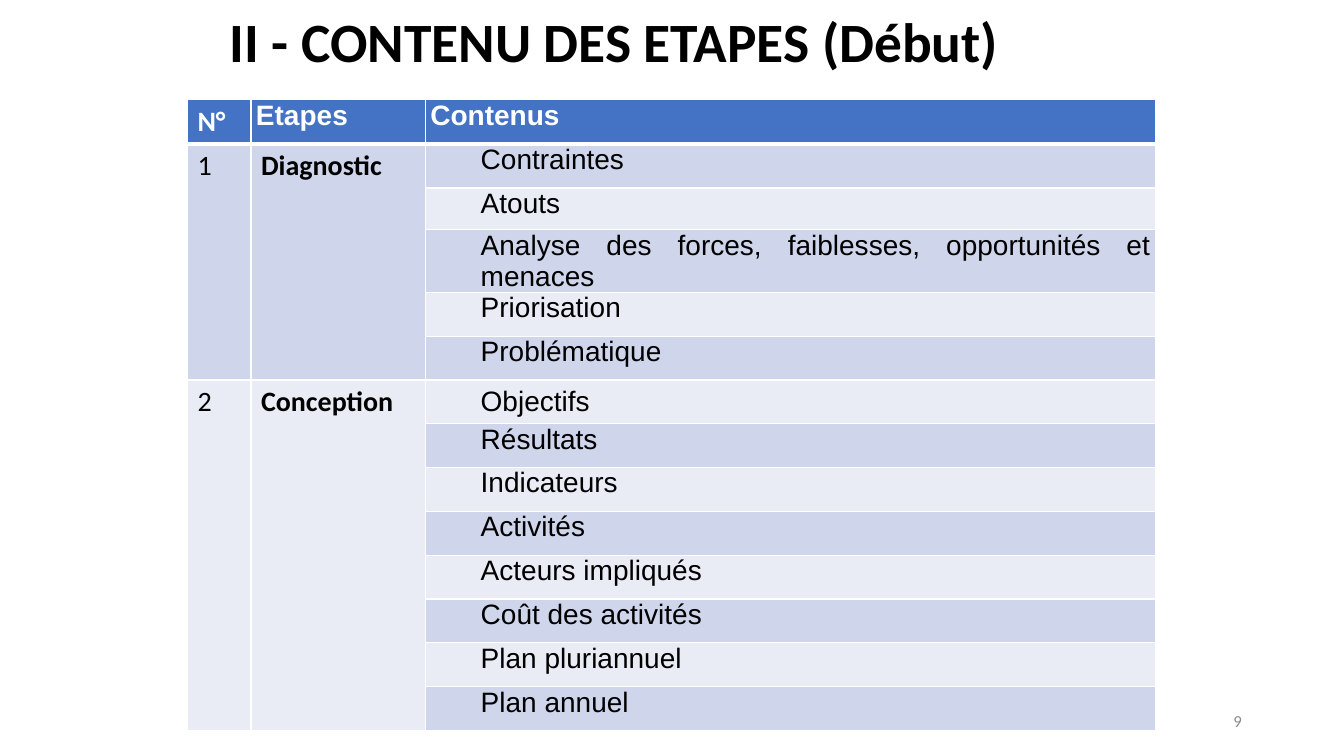
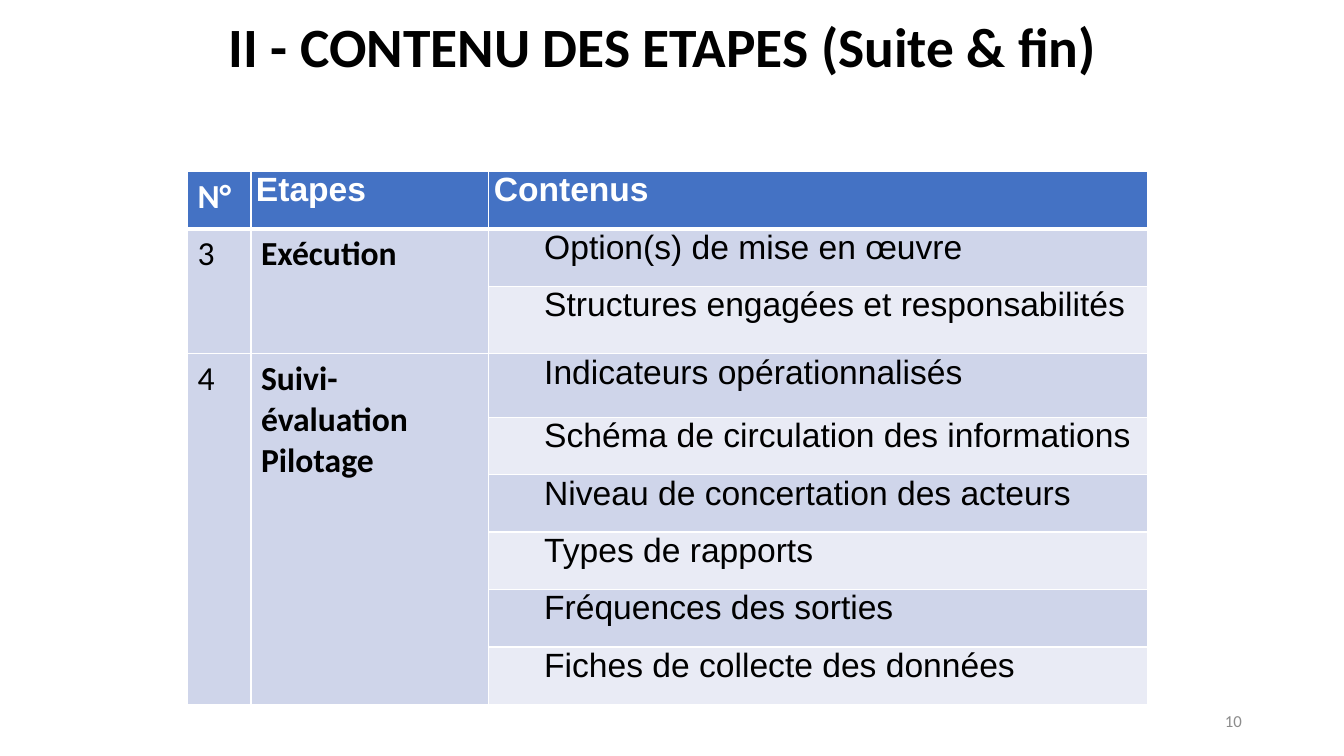
from dataclasses import dataclass
from typing import Any

from lxml import etree
from pptx import Presentation
from pptx.dml.color import RGBColor
from pptx.enum.text import MSO_ANCHOR, MSO_AUTO_SIZE, PP_ALIGN
from pptx.oxml.ns import qn
from pptx.util import Pt

PX = 4572  # 200 px to the inch
LEFT, RIGHT, JUSTIFY = PP_ALIGN.LEFT, PP_ALIGN.RIGHT, PP_ALIGN.JUSTIFY
TOP, MIDDLE = MSO_ANCHOR.TOP, MSO_ANCHOR.MIDDLE
NO_AUTOFIT = MSO_AUTO_SIZE.NONE

BLACK = RGBColor(0x00, 0x00, 0x00)
WHITE = RGBColor(0xFF, 0xFF, 0xFF)
GREY = RGBColor(0x8C, 0x8C, 0x8C)
HEADER_BLUE = RGBColor(0x44, 0x72, 0xC4)
BANDS = (RGBColor(0xE9, 0xEB, 0xF5), RGBColor(0xCF, 0xD5, 0xEA))

TITLE_ONLY = 5
TITLE_WIDTH, TITLE_HEIGHT = 1800, 160
TABLE_LEFT = 372
NUMBER_BOX = (1884, 1390, 600, 80)
CONTENT_INDENT = 100
THIN, THICK = 1, 3
HEADINGS = ("N°", "Etapes", "Contenus")

TIGHT_CELL = {"margin_left": 10 * PX, "margin_right": 10 * PX,
              "margin_top": 0, "margin_bottom": 0}
TIGHT_PARAGRAPH = {"alignment": JUSTIFY, "space_before": Pt(3), "space_after": Pt(3)}
PLAIN_TABLE = {"first_row": False, "horz_banding": False}


@dataclass(frozen=True)
class Step:
    number: int
    name: str
    contents: tuple[str, ...]


@dataclass(frozen=True)
class StepsSlide:
    title: str
    title_at: tuple[int, int]
    table_top: int
    columns: tuple[int, ...]
    rows: tuple[int, ...]
    size: int
    steps: tuple[Step, ...]
    number: int
    centred: tuple[str, ...] = ()


SLIDES = (
    StepsSlide(
        "II - CONTENU DES ETAPES (Début)", (436, 8), 198,
        (126, 346, 1449), (87, 87, 83) + (87,) * 11, 20,
        (Step(1, "Diagnostic",
              ("Contraintes", "Atouts",
               "Analyse des forces, faiblesses, opportunités et menaces",
               "Priorisation", "Problématique")),
         Step(2, "Conception",
              ("Objectifs", "Résultats", "Indicateurs", "Activités",
               "Acteurs impliqués", "Coût des activités",
               "Plan pluriannuel", "Plan annuel"))),
        9, ("Objectifs",)),
    StepsSlide(
        "II - CONTENU DES ETAPES (Suite & fin)", (434, 18), 340,
        (126, 472, 1308), (114, 114, 134, 126) + (114,) * 5, 24,
        (Step(3, "Exécution",
              ("Option(s) de mise en œuvre",
               "Structures engagées et responsabilités")),
         Step(4, "Suivi-évaluation\nPilotage",
              ("Indicateurs opérationnalisés",
               "Schéma de circulation des informations",
               "Niveau de concertation des acteurs", "Types de rapports",
               "Fréquences des sorties", "Fiches de collecte des données"))),
        10),
)


def apply(target: Any, values: dict[str, Any]) -> None:
    for name, value in values.items():
        setattr(target, name, value)


def write(frame: Any, text: str, size: float, color: RGBColor, bold: bool = False,
          font: str = "Calibri", **paragraph_format: Any) -> None:
    """Fill a text frame, one paragraph for each line of the text."""
    frame.text = text
    for paragraph in frame.paragraphs:
        apply(paragraph, paragraph_format)
        for run in paragraph.runs:
            apply(run.font, {"name": font, "size": Pt(size), "bold": bold})
            run.font.color.rgb = color


def paint(cell: Any, fill: RGBColor, top: int, bottom: int) -> None:
    """Give a cell its fill and white borders, widths in points."""
    cell.fill.solid()
    cell.fill.fore_color.rgb = fill
    properties = cell._tc.get_or_add_tcPr()
    widths = {"lnL": THIN, "lnR": THIN, "lnT": top, "lnB": bottom}
    for index, (side, width) in enumerate(widths.items()):
        line = etree.Element(qn(f"a:{side}"), w=str(Pt(width)))
        solid = etree.SubElement(line, qn("a:solidFill"))
        etree.SubElement(solid, qn("a:srgbClr"), val=str(WHITE))
        properties.insert(index, line)


def write_tight(cell: Any, text: str, size: int, color: RGBColor,
                bold: bool = False, indent: int = 0) -> None:
    """Write justified Arial text in a cell with narrow margins."""
    apply(cell, TIGHT_CELL)
    write(cell.text_frame, text, size, color, bold, "Arial", **TIGHT_PARAGRAPH)
    if indent:
        for paragraph in cell.text_frame.paragraphs:
            properties = paragraph._p.get_or_add_pPr()
            properties.set("marL", str(indent * PX))
            properties.set("indent", "0")


def add_title(slide: Any, page: StepsSlide) -> None:
    title = slide.shapes.title
    left, top = page.title_at
    apply(title, {"left": left * PX, "top": top * PX,
                  "width": TITLE_WIDTH * PX, "height": TITLE_HEIGHT * PX})
    apply(title.text_frame, {"vertical_anchor": MIDDLE, "word_wrap": True,
                             "auto_size": NO_AUTOFIT})
    write(title.text_frame, page.title, 39.6, BLACK, True,
          alignment=LEFT, line_spacing=0.9)


def add_steps_table(slide: Any, page: StepsSlide) -> None:
    table = slide.shapes.add_table(
        len(page.rows), len(page.columns), TABLE_LEFT * PX, page.table_top * PX,
        sum(page.columns) * PX, sum(page.rows) * PX).table
    apply(table, PLAIN_TABLE)
    for column, width in zip(table.columns, page.columns):
        column.width = width * PX
    for index, (row, height) in enumerate(zip(table.rows, page.rows)):
        row.height = height * PX
        for cell in row.cells:
            paint(cell, BANDS[index % 2] if index else HEADER_BLUE,
                  THICK if index == 1 else THIN, THIN if index else THICK)

    number_heading, *tight_headings = HEADINGS
    write(table.cell(0, 0).text_frame, number_heading, page.size, WHITE, True)
    for column, heading in enumerate(tight_headings, start=1):
        write_tight(table.cell(0, column), heading, page.size, WHITE, True)

    first = 1
    for step in page.steps:
        last = first + len(step.contents) - 1
        for column, text in enumerate((str(step.number), step.name)):
            cell = table.cell(first, column)
            cell.merge(table.cell(last, column))
            write(cell.text_frame, text, page.size, BLACK, bold=column == 1)
        for row, content in enumerate(step.contents, start=first):
            cell = table.cell(row, 2)
            cell.vertical_anchor = MIDDLE if content in page.centred else TOP
            write_tight(cell, content, page.size, BLACK, indent=CONTENT_INDENT)
        first = last + 1


def add_slide_number(slide: Any, number: int) -> None:
    frame = slide.shapes.add_textbox(*(length * PX for length in NUMBER_BOX)).text_frame
    apply(frame, {"word_wrap": True, "vertical_anchor": MIDDLE})
    write(frame, str(number), 12, GREY, alignment=RIGHT)


def main() -> None:
    deck = Presentation()
    apply(deck, {"slide_width": 2667 * PX, "slide_height": 1500 * PX})
    for page in SLIDES:
        slide = deck.slides.add_slide(deck.slide_layouts[TITLE_ONLY])
        add_title(slide, page)
        add_steps_table(slide, page)
        add_slide_number(slide, page.number)
    deck.save("out.pptx")


if __name__ == "__main__":
    main()
